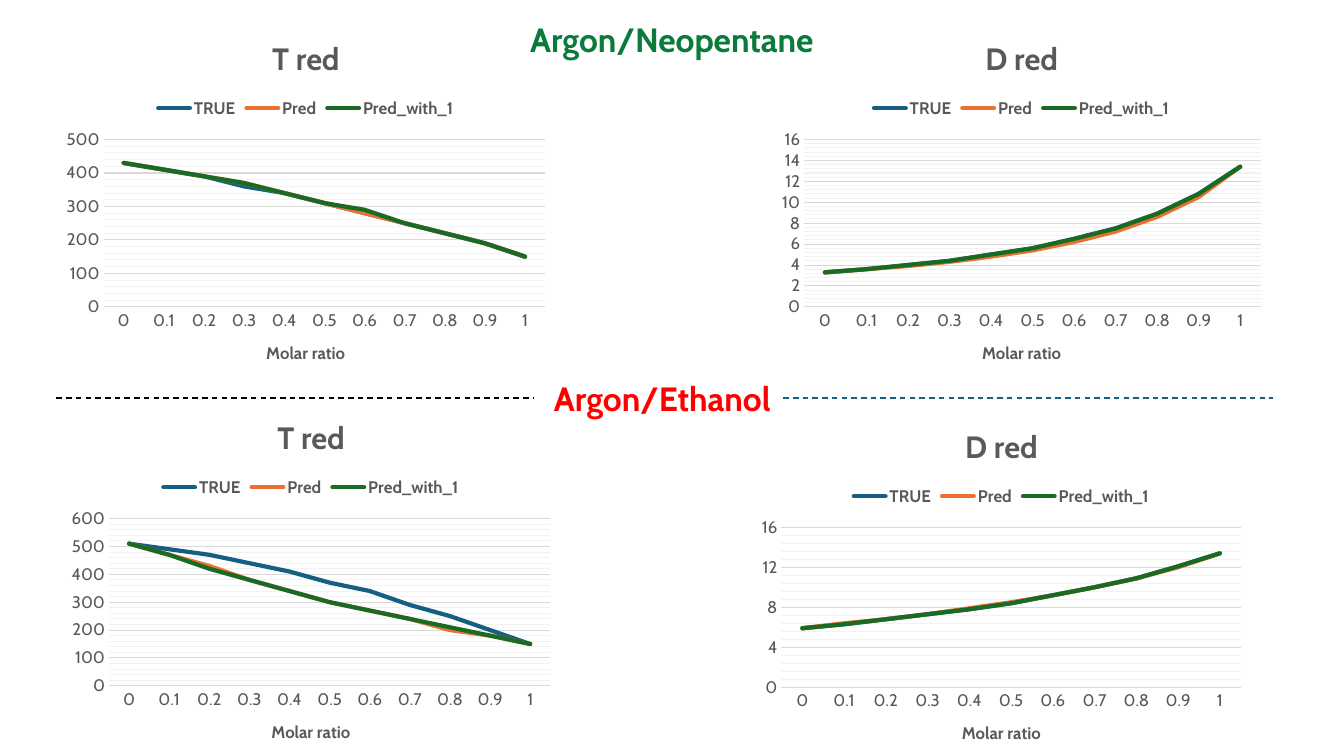
from lxml import etree
from pptx import Presentation
from pptx.chart.data import CategoryChartData
from pptx.dml.color import RGBColor
from pptx.enum.chart import XL_CHART_TYPE, XL_LEGEND_POSITION, XL_TICK_MARK
from pptx.enum.dml import MSO_LINE
from pptx.enum.shapes import MSO_CONNECTOR
from pptx.enum.text import MSO_ANCHOR, MSO_AUTO_SIZE, PP_ALIGN
from pptx.oxml import parse_xml
from pptx.oxml.ns import nsdecls, qn
from pptx.util import Cm, Pt

LINE_CHART = XL_CHART_TYPE.LINE
LEGEND_TOP = XL_LEGEND_POSITION.TOP
NO_TICK = XL_TICK_MARK.NONE
DASH = MSO_LINE.DASH
STRAIGHT = MSO_CONNECTOR.STRAIGHT
TOP = MSO_ANCHOR.TOP
GROW = MSO_AUTO_SIZE.SHAPE_TO_FIT_TEXT
CENTER = PP_ALIGN.CENTER

BLACK = RGBColor(0x00, 0x00, 0x00)
GREY = RGBColor(0x59, 0x59, 0x59)
MAJOR_GRID = RGBColor(0xD9, 0xD9, 0xD9)
MINOR_GRID = RGBColor(0xF2, 0xF2, 0xF2)
GREEN = RGBColor(0x0B, 0x7B, 0x3C)
RED = RGBColor(0xFF, 0x00, 0x00)
BLUE = RGBColor(0x15, 0x60, 0x82)
ORANGE = RGBColor(0xE9, 0x71, 0x32)
DARK_GREEN = RGBColor(0x19, 0x6B, 0x24)

FONT = "Cabin"
SERIES_COLORS = {"TRUE": BLUE, "Pred": ORANGE, "Pred_with_1": DARK_GREEN}
MOLAR_RATIOS = [f"{step / 10:g}" for step in range(11)]
TITLE_ONLY = 5
DIVIDER_TOP = 10.03

# title, (left, top, width, height), axis maximum, axis step, values by series
CHARTS = [
    ("T red", (1.42, 0.48, 12.57, 9.22), 500, 100, [
        [430, 410, 390, 360, 340, 310, 280, 250, 220, 190, 150],
        [430, 410, 390, 370, 340, 310, 280, 250, 220, 190, 150],
        [430, 410, 390, 370, 340, 310, 290, 250, 220, 190, 150]]),
    ("D red", (19.46, 0.48, 12.57, 9.22), 16, 2, [
        [3.3, 3.6, 4, 4.4, 5, 5.6, 6.5, 7.5, 8.9, 10.8, 13.4],
        [3.3, 3.6, 3.9, 4.3, 4.8, 5.4, 6.2, 7.2, 8.6, 10.5, 13.4],
        [3.3, 3.6, 4, 4.4, 5, 5.6, 6.5, 7.5, 8.9, 10.8, 13.4]]),
    ("T red", (1.55, 10.03, 12.57, 9.22), 600, 100, [
        [510, 490, 470, 440, 410, 370, 340, 290, 250, 200, 150],
        [510, 470, 430, 380, 340, 300, 270, 240, 200, 180, 150],
        [510, 470, 420, 380, 340, 300, 270, 240, 210, 180, 150]]),
    ("D red", (18.95, 10.26, 12.57, 9.02), 16, 4, [
        [5.9, 6.3, 6.8, 7.3, 7.8, 8.4, 9.2, 10, 10.9, 12.1, 13.4],
        [5.9, 6.4, 6.8, 7.3, 7.9, 8.5, 9.2, 10, 10.9, 12, 13.4],
        [5.9, 6.3, 6.8, 7.3, 7.8, 8.4, 9.2, 10, 10.9, 12.1, 13.4]]),
]


def format_font(font, size=12, color=GREY, bold=False):
    font.name = FONT
    font.size = Pt(size)
    font.bold = bold
    font.color.rgb = color


def write_text(text_frame, text, **font_format):
    paragraph = text_frame.paragraphs[0]
    paragraph.alignment = CENTER
    run = paragraph.add_run()
    run.text = text
    format_font(run.font, **font_format)


def format_line(line, color, width):
    line.color.rgb = color
    line.width = Pt(width)


class ComparisonSlide:
    def __init__(self, presentation):
        layout = presentation.slide_layouts[TITLE_ONLY]
        self.slide = presentation.slides.add_slide(layout)
        self.shapes = self.slide.shapes

    def heading(self, shape, text, box, color):
        shape.left, shape.top, shape.width, shape.height = map(Cm, box)
        frame = shape.text_frame
        frame.word_wrap = False
        frame.auto_size = GROW
        frame.vertical_anchor = TOP
        write_text(frame, text, size=24, color=color, bold=True)

    def title(self, text, box, color):
        self.heading(self.shapes.title, text, box, color)

    def text_box(self, text, box, color):
        self.heading(self.shapes.add_textbox(*map(Cm, box)), text, box, color)

    def divider(self, left, right, color):
        connector = self.shapes.add_connector(
            STRAIGHT, Cm(left), Cm(DIVIDER_TOP), Cm(right), Cm(DIVIDER_TOP))
        format_line(connector.line, color, 1)
        connector.line.dash_style = DASH
        etree.SubElement(connector._element.spPr, qn("a:effectLst"))

    def line_chart(self, title, box, maximum, step, values):
        data = CategoryChartData()
        data.categories = MOLAR_RATIOS
        for name, series_values in zip(SERIES_COLORS, values):
            data.add_series(name, series_values)
        chart = self.shapes.add_chart(LINE_CHART, *map(Cm, box), data).chart
        format_font(chart.font)
        self.clear_background(chart)
        chart.has_title = True
        write_text(chart.chart_title.text_frame, title, size=22, bold=True)
        chart.chart_title.include_in_layout = False
        chart.has_legend = True
        chart.legend.position = LEGEND_TOP
        chart.legend.include_in_layout = False
        format_font(chart.legend.font, bold=True)
        chart.plots[0].vary_by_categories = False
        for series, color in zip(chart.plots[0].series, SERIES_COLORS.values()):
            series.smooth = False
            format_line(series.format.line, color, 3)
            series.format.line._get_or_add_ln().set("cap", "rnd")
        self.format_axes(chart, maximum, step)

    def clear_background(self, chart):
        """Let headings and dividers show through the chart frame."""
        chart._chartSpace.chart.addnext(parse_xml(
            f'<c:spPr {nsdecls("c", "a")}><a:noFill/>'
            '<a:ln><a:noFill/></a:ln></c:spPr>'))

    def format_axes(self, chart, maximum, step):
        ratio_axis, value_axis = chart.category_axis, chart.value_axis
        for axis in (ratio_axis, value_axis):
            axis.major_tick_mark = axis.minor_tick_mark = NO_TICK
            format_font(axis.tick_labels.font)
        write_text(ratio_axis.axis_title.text_frame, "Molar ratio", bold=True)
        format_line(ratio_axis.format.line, MAJOR_GRID, 0.75)
        value_axis.format.line.fill.background()
        value_axis.minimum_scale = 0
        value_axis.maximum_scale = maximum
        value_axis.major_unit = step
        value_axis.minor_unit = step / 5
        value_axis.has_major_gridlines = value_axis.has_minor_gridlines = True
        format_line(value_axis.major_gridlines.format.line, MAJOR_GRID, 0.75)
        minor_gridlines = value_axis._element.find(qn("c:minorGridlines"))
        minor_gridlines.append(parse_xml(
            f'<c:spPr {nsdecls("c", "a")}><a:ln w="{Pt(0.75)}"><a:solidFill>'
            f'<a:srgbClr val="{MINOR_GRID}"/></a:solidFill></a:ln></c:spPr>'))


def main():
    presentation = Presentation()
    presentation.slide_width = Cm(33.87)
    presentation.slide_height = Cm(19.05)
    slide = ComparisonSlide(presentation)
    slide.title("Argon/Neopentane", (12.98, 0.36, 7.9, 1.27), GREEN)
    for chart in CHARTS:
        slide.line_chart(*chart)
    slide.text_box("Argon/Ethanol", (13.64, 9.4, 6.1, 1.27), RED)
    slide.divider(1.42, 13.44, BLACK)
    slide.divider(19.74, 32.08, BLUE)
    presentation.save("out.pptx")


if __name__ == "__main__":
    main()
